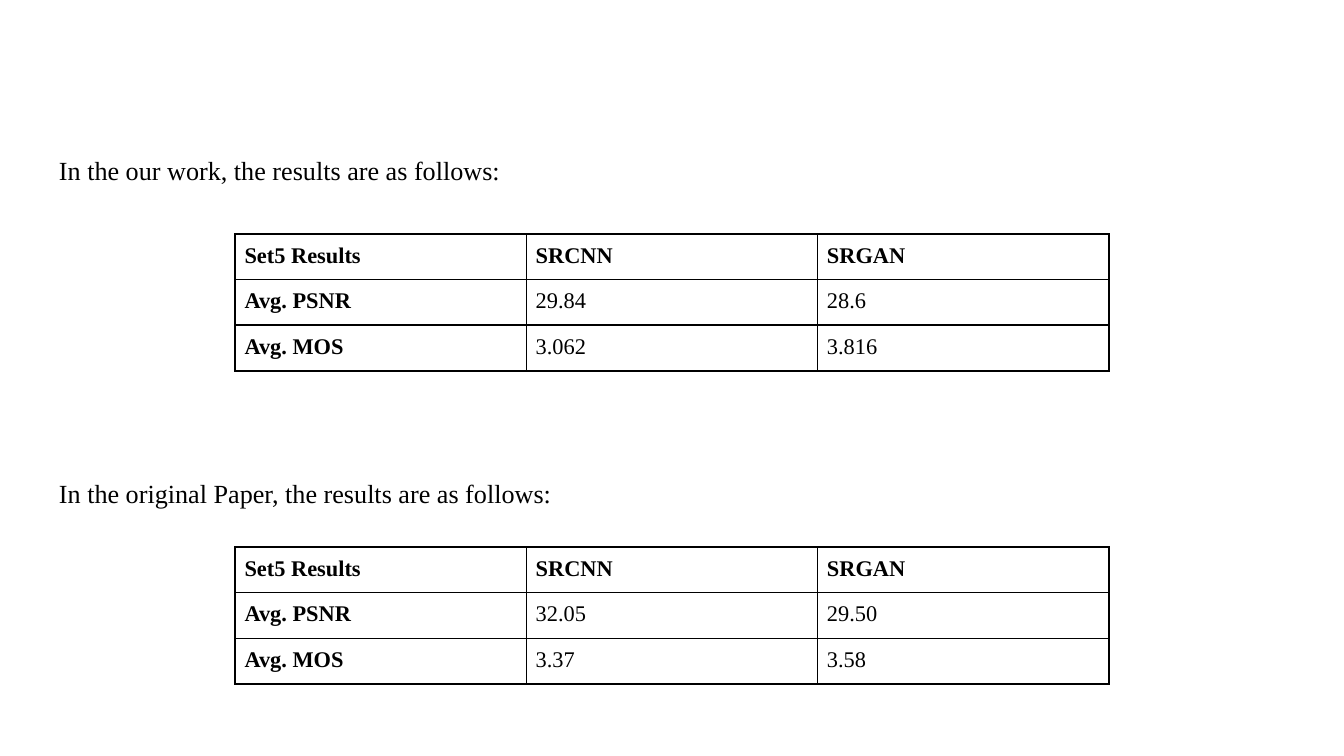
from dataclasses import dataclass

import lxml.etree
import pptx
import pptx.dml.color
import pptx.enum.text
import pptx.oxml.ns
import pptx.slide
import pptx.table
import pptx.text.text
import pptx.util

Inches = pptx.util.Inches


@dataclass(frozen=True)
class Theme:
    font: str = "Times New Roman"
    ink: str = "000000"
    caption_size: int = 14
    cell_size: int = 12
    border_width: int = 1


@dataclass(frozen=True)
class ResultSet:
    caption: str
    caption_top: float
    table_top: float
    psnr: tuple[str, str]
    mos: tuple[str, str]

    def rows(self) -> list[tuple[str, str, str]]:
        return [
            ("Set5 Results", "SRCNN", "SRGAN"),
            ("Avg. PSNR", *self.psnr),
            ("Avg. MOS", *self.mos),
        ]


THEME = Theme()
CAPTION_LEFT, CAPTION_WIDTH, CAPTION_HEIGHT = 0.34, 9.32, 0.51
TABLE_LEFT, TABLE_WIDTH, FRAME_SIZE = 1.75, 6.5, 3.28
MINIMUM_ROW_HEIGHT = 0.01  # rows grow to fit their text
CAPTION_INSET, CELL_INSET = 0.1, 0.07

RESULTS = [
    ResultSet("In the our work, the results are as follows:", 0.99, 1.74,
              ("29.84", "28.6"), ("3.062", "3.816")),
    ResultSet("In the original Paper, the results are as follows:", 3.4, 4.07,
              ("32.05", "29.50"), ("3.37", "3.58")),
]


def set_margins(holder: pptx.text.text.TextFrame | pptx.table._Cell, inset: float) -> None:
    for side in ("left", "right", "top", "bottom"):
        setattr(holder, f"margin_{side}", Inches(inset))


def style_text(para: pptx.text.text._Paragraph, size: int, bold: bool = False) -> None:
    for span in para.runs:
        span.font.name = THEME.font
        span.font.size = pptx.util.Pt(size)
        span.font.bold = bold
        span.font.color.rgb = pptx.dml.color.RGBColor.from_string(THEME.ink)


def add_borders(cell: pptx.table._Cell) -> None:
    qn = pptx.oxml.ns.qn
    properties = cell._tc.get_or_add_tcPr()
    # Border lines must come before the cell fill
    for position, edge in enumerate(("lnL", "lnR", "lnT", "lnB")):
        line = lxml.etree.Element(qn(f"a:{edge}"))
        line.set("w", str(pptx.util.Pt(THEME.border_width)))
        fill = lxml.etree.SubElement(line, qn("a:solidFill"))
        lxml.etree.SubElement(fill, qn("a:srgbClr")).set("val", THEME.ink)
        properties.insert(position, line)


def add_caption(page: pptx.slide.Slide, result: ResultSet) -> None:
    box = page.shapes.add_textbox(
        Inches(CAPTION_LEFT), Inches(result.caption_top),
        Inches(CAPTION_WIDTH), Inches(CAPTION_HEIGHT))
    frame = box.text_frame
    frame.word_wrap = True
    frame.vertical_anchor = pptx.enum.text.MSO_ANCHOR.MIDDLE
    set_margins(frame, CAPTION_INSET)
    frame.text = result.caption
    para = frame.paragraphs[0]
    para.line_spacing = 1.15
    style_text(para, THEME.caption_size)


def add_results_table(page: pptx.slide.Slide, result: ResultSet) -> None:
    rows = result.rows()
    holder = page.shapes.add_table(
        len(rows), len(rows[0]), Inches(TABLE_LEFT), Inches(result.table_top),
        Inches(TABLE_WIDTH), Inches(MINIMUM_ROW_HEIGHT * len(rows)))
    holder.width = holder.height = Inches(FRAME_SIZE)
    table = holder.table
    table.horz_banding = False
    for row_index, values in enumerate(rows):
        for column_index, value in enumerate(values):
            cell = table.cell(row_index, column_index)
            cell.text_frame.text = value
            set_margins(cell, CELL_INSET)
            cell.fill.background()
            add_borders(cell)
            is_heading = row_index == 0 or column_index == 0
            style_text(cell.text_frame.paragraphs[0], THEME.cell_size, is_heading)


def main() -> None:
    deck = pptx.Presentation()
    # Widescreen page, 16:9
    deck.slide_width = Inches(10)
    deck.slide_height = deck.slide_width * 9 // 16
    page = deck.slides.add_slide(deck.slide_layouts[6])

    # Each result set is a caption above its table
    for result in RESULTS:
        add_caption(page, result)
        add_results_table(page, result)

    deck.save("out.pptx")


if __name__ == "__main__":
    main()
